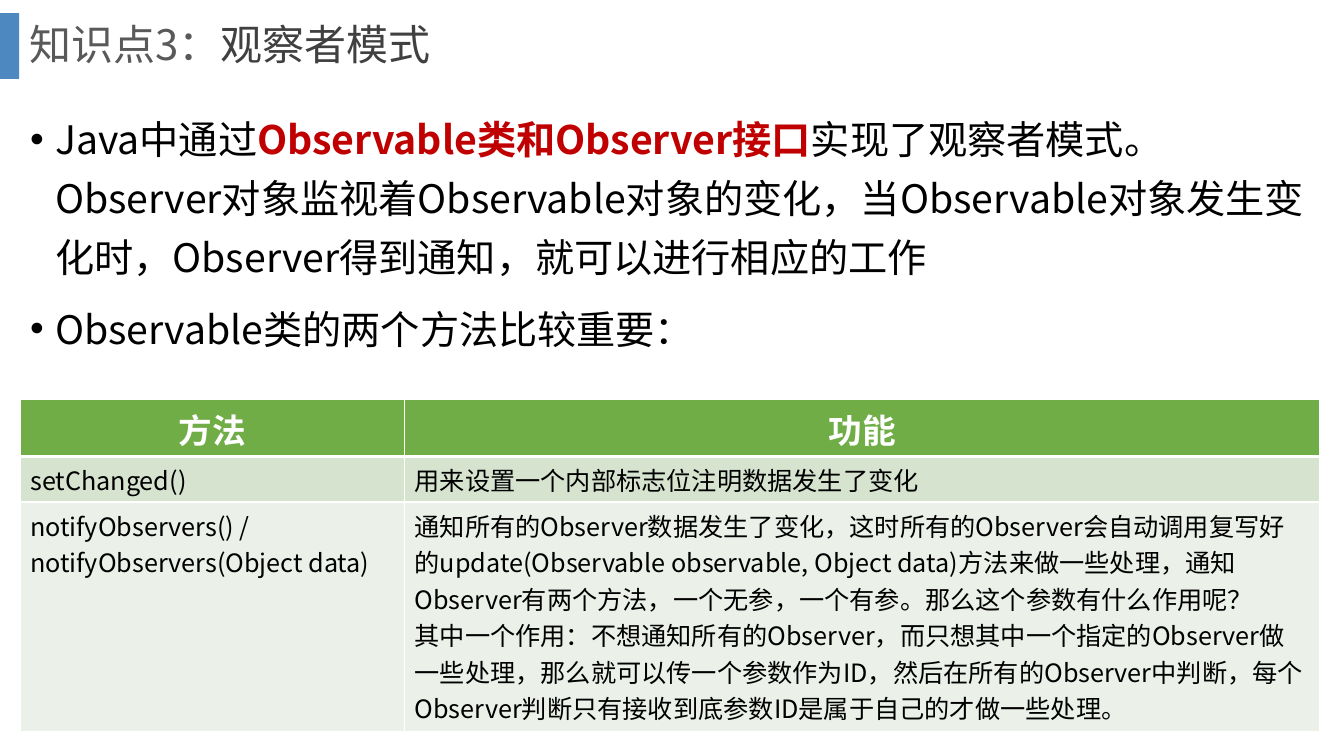
import pptx
import pptx.util
import pptx.dml.color
import pptx.enum.shapes
import pptx.enum.text
import pptx.oxml.ns
from lxml import etree

COLORS = {
    "bar": "2E75B6", "label": "595959", "title": "404040",
    "text": "000000", "accent": "C00000", "white": "FFFFFF",
    "header": "70AD47", "band": "D5E3CF", "light": "EBF1E9",
}
Pt = pptx.util.Pt
ANCHOR = pptx.enum.text.MSO_ANCHOR
qn = pptx.oxml.ns.qn


def rgb(name):
    return pptx.dml.color.RGBColor.from_string(COLORS[name])


class Deck:
    """Holds the style and the current slide; lengths are percent of the slide."""

    font = "Noto Sans CJK SC"

    def __init__(self, width, height):
        self.prs = pptx.Presentation()
        self.prs.slide_width = pptx.util.Inches(width)
        self.prs.slide_height = pptx.util.Inches(height)
        self.s = self.prs.slides.add_slide(self.prs.slide_layouts[6])

    def x(self, share):
        return round(self.prs.slide_width * share / 100)

    def y(self, share):
        return round(self.prs.slide_height * share / 100)

    def box(self, left, top, width, height):
        return self.x(left), self.y(top), self.x(width), self.y(height)

    def runs(self, p, parts, size):
        """Adds (text, colour, bold) parts to a paragraph."""
        for text, color, bold in parts:
            r = p.add_run()
            r.text = text
            r.font.size, r.font.bold, r.font.name = Pt(size), bold, self.font
            r.font.color.rgb = rgb(color)
            latin = r.font._element.find(qn("a:latin"))
            ea = etree.Element(qn("a:ea"), typeface=self.font)
            latin.addnext(ea)

    def bar(self, area, color, opacity):
        sp = self.s.shapes.add_shape(
            pptx.enum.shapes.MSO_SHAPE.RECTANGLE, *self.box(*area))
        sp.shadow.inherit = False
        sp.line.fill.background()
        sp.fill.solid()
        sp.fill.fore_color.rgb = rgb(color)
        clr = sp._element.spPr.find(".//" + qn("a:srgbClr"))
        etree.SubElement(clr, qn("a:alpha"), val=str(opacity * 1000))

    def text(self, area, paragraphs, size, spacing, anchor=ANCHOR.TOP,
             bullets=False, gap=0):
        sp = self.s.shapes.add_textbox(*self.box(*area))
        tf = sp.text_frame
        tf.word_wrap = True
        tf.vertical_anchor = anchor
        for i, parts in enumerate(paragraphs):
            p = tf.add_paragraph() if i else tf.paragraphs[0]
            p.line_spacing = spacing
            p.space_before = Pt(gap if i else 0)
            if bullets:
                pPr = p._p.get_or_add_pPr()
                indent = pptx.util.Inches(0.25)
                pPr.set("marL", str(indent))
                pPr.set("indent", str(-indent))
                etree.SubElement(pPr, qn("a:buFont"), typeface="Arial")
                etree.SubElement(pPr, qn("a:buChar"), char="•")
            self.runs(p, parts, size)

    def borders(self, cell, widths):
        tcPr = cell._tc.get_or_add_tcPr()
        for side, width in zip("LRTB", widths):
            ln = etree.SubElement(tcPr, qn("a:ln" + side), w=str(Pt(width)))
            fill = etree.SubElement(ln, qn("a:solidFill"))
            etree.SubElement(fill, qn("a:srgbClr"), val=COLORS["white"])

    def table(self, left, top, cols, heights, rows, fills):
        area = self.box(left, top, sum(cols), sum(heights))
        tbl = self.s.shapes.add_table(len(rows), len(cols), *area).table
        for column, width in zip(tbl.columns, cols):
            column.width = self.x(width)
        for i, (row, height) in enumerate(zip(rows, heights)):
            tbl.rows[i].height = self.y(height)
            head = i == 0
            for j, text in enumerate(row):
                cell = tbl.cell(i, j)
                self.borders(cell, (1, 1, 3 if i == 1 else 1, 3 if head else 1))
                cell.fill.solid()
                cell.fill.fore_color.rgb = rgb(fills[i])
                cell.vertical_anchor = ANCHOR.MIDDLE if head else ANCHOR.TOP
                for k, line in enumerate(text.split("\n")):
                    tf = cell.text_frame
                    p = tf.add_paragraph() if k else tf.paragraphs[0]
                    if head:
                        p.alignment = pptx.enum.text.PP_ALIGN.CENTER
                    self.runs(p, [(line, "white" if head else "text", head)],
                              24 if head else 18)


def main():
    d = Deck(13.33, 7.5)

    # Title with its side bar
    d.bar((0, 1.75, 1.43, 8.7), "bar", 85)
    d.text((1.43, 0, 95, 12.4),
           [[("知识点3：", "label", False), ("观察者模式", "title", False)]],
           30, 0.9, ANCHOR.MIDDLE)

    # Bulleted explanation
    d.text((1.5, 13.1, 96.75, 79.5), [
        [("Java中通过", "text", False),
         ("Observable类和Observer接口", "accent", True),
         ("实现了观察者模式。Observer对象监视着Observable对象的变化，"
          "当Observable对象发生变化时，Observer得到通知，"
          "就可以进行相应的工作", "text", False)],
        [("Observable类的两个方法比较重要：", "text", False)],
    ], 28, 1.25, bullets=True, gap=9)

    # Table of methods
    d.table(1.5, 52.8, (28.6, 68.1), (7.6, 6, 30.4), [
        ("方法", "功能"),
        ("setChanged()", "用来设置一个内部标志位注明数据发生了变化"),
        ("notifyObservers() / notifyObservers(Object data)",
         "通知所有的Observer数据发生了变化，这时所有的Observer会自动调用"
         "复写好的update(Observable observable, Object data)方法来做一些处理，"
         "通知Observer有两个方法，一个无参，一个有参。那么这个参数有什么作用呢？\n"
         "其中一个作用：不想通知所有的Observer，而只想其中一个指定的Observer"
         "做一些处理，那么就可以传一个参数作为ID，然后在所有的Observer中判断，"
         "每个Observer判断只有接收到底参数ID是属于自己的才做一些处理。"),
    ], ("header", "band", "light"))

    d.prs.save("out.pptx")


if __name__ == "__main__":
    main()
